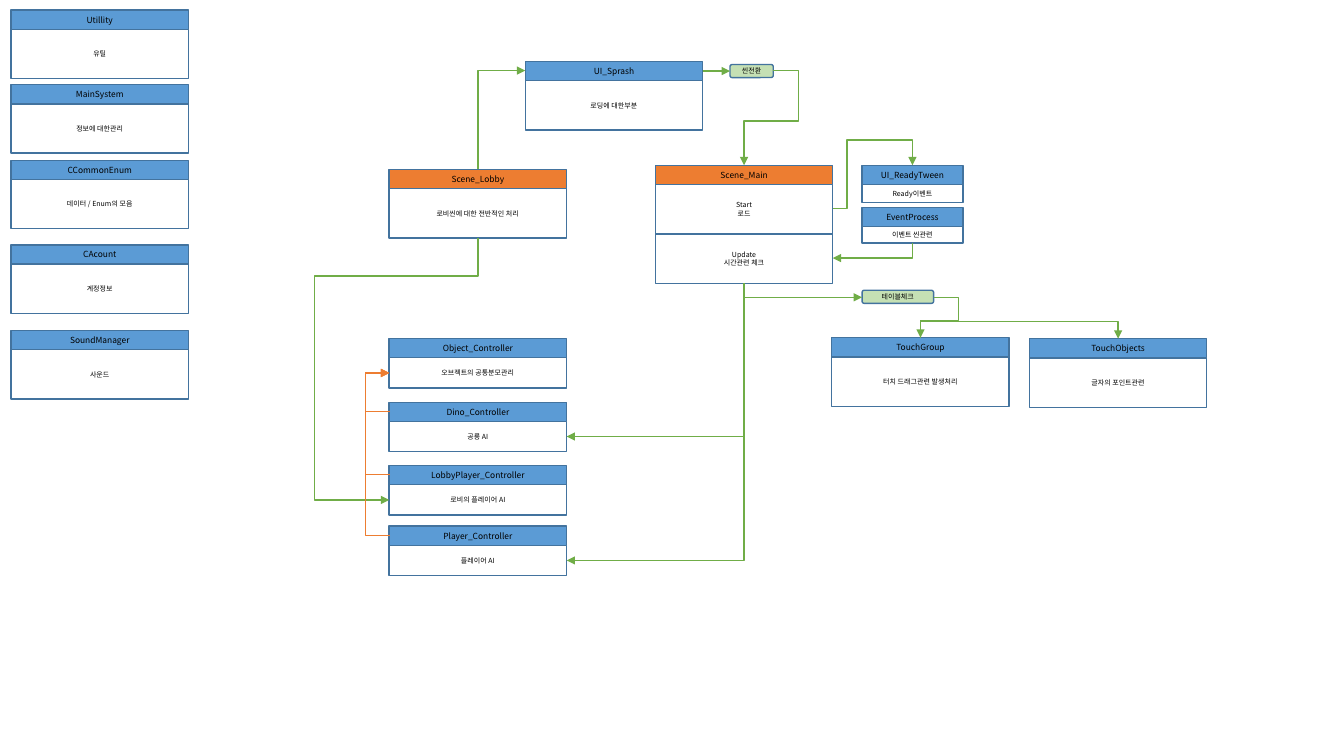
from dataclasses import dataclass

from lxml.etree import SubElement
from pptx import Presentation
from pptx.dml.color import RGBColor
from pptx.enum.shapes import MSO_CONNECTOR, MSO_SHAPE
from pptx.enum.text import MSO_ANCHOR, PP_ALIGN
from pptx.oxml.ns import qn
from pptx.util import Inches, Pt


@dataclass(frozen=True)
class Theme:
    font: str = "Noto Sans CJK KR"
    text: str = "000000"
    blue: str = "5B9BD5"
    orange: str = "ED7D31"
    white: str = "FFFFFF"
    pale_green: str = "C5E0B4"
    green: str = "70AD47"
    outline: str = "43739E"
    title_size: float = 6
    body_size: float = 5
    line_width: float = 1


THEME = Theme()
TITLE_HEIGHT = 0.19
CARD_WIDTH = 1.76
BODY_HEIGHT = 0.49
CONTROLLER_BODY = 0.3
UTILITY_LEFT, CONTROLLER_LEFT, MAIN_LEFT, EVENT_LEFT = 0.11, 3.86, 6.5, 8.55

UTILITY_CARDS = [
    ("Utillity", "유틸", 0.1),
    ("MainSystem", "정보에 대한관리", 0.84),
    ("CCommonEnum", "데이터 / Enum의 모음", 1.59),
    ("CAcount", "계정정보", 2.43),
    ("SoundManager", "사운드", 3.28),
]
CONTROLLER_CARDS = [
    ("Object_Controller", "오브젝트의 공통분모관리", 3.36),
    ("Dino_Controller", "공룡 AI", 3.99),
    ("LobbyPlayer_Controller", "로비의 플레이어 AI", 4.62),
    ("Player_Controller", "플레이어 AI", 5.22),
]
FLOW_ROUTES = [
    [(4.74, 2.36), (4.74, 2.74), (3.12, 2.74), (3.12, 4.96), (3.86, 4.96)],
    [(4.74, 1.68), (4.74, 0.7), (5.21, 0.7)],
    [(7.38, 2.81), (7.38, 4.33), (5.62, 4.33)],
    [(7.38, 2.81), (7.38, 5.56), (5.62, 5.56)],
    [(9.05, 2.41), (9.05, 2.56), (8.26, 2.56)],
    [(7.67, 0.7), (7.92, 0.7), (7.92, 1.2), (7.38, 1.2), (7.38, 1.64)],
    [(8.26, 2.07), (8.4, 2.07), (8.4, 1.39), (9.05, 1.39), (9.05, 1.64)],
    [(7.38, 2.81), (7.38, 2.95), (8.55, 2.95)],
    [(9.26, 2.95), (9.51, 2.95), (9.51, 3.18), (9.13, 3.18), (9.13, 3.35)],
    [(9.13, 3.35), (9.13, 3.19), (11.09, 3.19), (11.09, 3.36)],
]
INHERITANCE_STARTS = [5.31, 4.71, 4.08]


def color(value):
    return RGBColor.from_string(value)


def add_box(page, lines, left, top, width, height, fill, size, kind=MSO_SHAPE.RECTANGLE):
    box = page.shapes.add_shape(kind, Inches(left), Inches(top), Inches(width), Inches(height))
    box.shadow.inherit = False
    box.fill.solid()
    box.fill.fore_color.rgb = color(fill)
    box.line.color.rgb = color(THEME.outline)
    box.line.width = Pt(THEME.line_width)
    frame = box.text_frame
    frame.margin_left = frame.margin_right = frame.margin_top = frame.margin_bottom = 0
    frame.vertical_anchor = MSO_ANCHOR.MIDDLE
    frame.text = lines
    for para in frame.paragraphs:
        para.alignment = PP_ALIGN.CENTER
        para.font.size = Pt(size)
        para.font.name = THEME.font
        para.font.color.rgb = color(THEME.text)
    for defaults in box.element.iter(qn("a:defRPr")):
        SubElement(defaults, qn("a:ea"), typeface=THEME.font)
    return box


def add_card(page, title, bodies, left, top, width=CARD_WIDTH, body_height=BODY_HEIGHT, fill=THEME.blue):
    header = add_box(page, title, left, top, width, TITLE_HEIGHT, fill, THEME.title_size)
    for index, body in enumerate(bodies):
        body_top = top + TITLE_HEIGHT + index * body_height
        add_box(page, body, left, body_top, width, body_height, THEME.white, THEME.body_size)
    return header


def add_pill(page, label, left, top, width):
    return add_box(page, label, left, top, width, 0.13, THEME.pale_green,
                   THEME.body_size, MSO_SHAPE.ROUNDED_RECTANGLE)


def add_arrow(page, kind, start, end, stroke):
    arrow = page.shapes.add_connector(kind, *(Inches(value) for value in (*start, *end)))
    arrow.line.color.rgb = color(stroke)
    arrow.line.width = Pt(THEME.line_width)
    properties = arrow.element.spPr
    SubElement(properties.find(qn("a:ln")), qn("a:tailEnd"), type="triangle")
    SubElement(properties, qn("a:effectLst"))
    return arrow


def add_elbow(page, route, stroke):
    (x1, y1), (x2, y2) = route[0], route[-1]
    dx, dy = x2 - x1, y2 - y1
    vertical = route[1][0] == x1
    along, across = (abs(dy), abs(dx)) if vertical else (abs(dx), abs(dy))
    left, top = (x1 + x2 - along) / 2, (y1 + y2 - across) / 2
    arrow = add_arrow(page, MSO_CONNECTOR.ELBOW, (left, top), (left + along, top + across), stroke)

    if vertical and dx > 0 and dy > 0:
        rotation, flip_h, flip_v = 270, True, False
    elif vertical:
        rotation, flip_h, flip_v = 90, dy < 0, dx > 0
    elif dx < 0 and dy < 0:
        rotation, flip_h, flip_v = 180, False, False
    else:
        rotation, flip_h, flip_v = 0, dx < 0, dy < 0
    transform = arrow.element.spPr.find(qn("a:xfrm"))
    transform.set("rot", str(rotation * 60000))
    transform.set("flipH", str(int(flip_h)))
    transform.set("flipV", str(int(flip_v)))

    geometry = arrow.element.spPr.find(qn("a:prstGeom"))
    geometry.set("prst", f"bentConnector{len(route) - 1}")
    guides = geometry.find(qn("a:avLst"))
    for index, (x, y) in enumerate(route[1:-2]):
        moves_down = vertical == (index % 2 == 0)
        ratio = (y - y1) / dy if moves_down else (x - x1) / dx
        SubElement(guides, qn("a:gd"), name=f"adj{index + 1}", fmla=f"val {round(ratio * 100000)}")


def main():
    deck = Presentation()
    deck.slide_width, deck.slide_height = Inches(13.33), Inches(7.5)
    page = deck.slides.add_slide(deck.slide_layouts[6])

    for title, body, top in UTILITY_CARDS:
        add_card(page, title, [body], UTILITY_LEFT, top)
    for title, body, top in CONTROLLER_CARDS:
        add_card(page, title, [body], CONTROLLER_LEFT, top, body_height=CONTROLLER_BODY)
    add_card(page, "Scene_Lobby", ["로비씬에 대한 전반적인 처리"], CONTROLLER_LEFT, 1.68, fill=THEME.orange)
    add_card(page, "Scene_Main", ["Start\n로드", "Update\n시간관련 체크"], MAIN_LEFT, 1.64, fill=THEME.orange)
    splash = add_card(page, "UI_Sprash", ["로딩에 대한부분"], 5.21, 0.61)
    add_card(page, "UI_ReadyTween", ["Ready이벤트"], EVENT_LEFT, 1.64, 1, 0.18)
    add_card(page, "EventProcess", ["이벤트 씬관련"], EVENT_LEFT, 2.06, 1, 0.16)
    add_card(page, "TouchGroup", ["터치 드래그관련 발생처리"], 8.25, 3.35)
    add_card(page, "TouchObjects", ["글자의 포인트관련"], 10.21, 3.36)
    scene_change = add_pill(page, "씬전환", 7.24, 0.64, 0.43)
    add_pill(page, "테이블체크", EVENT_LEFT, 2.88, 0.71)

    for route in FLOW_ROUTES:
        add_elbow(page, route, THEME.green)
    for y in INHERITANCE_STARTS:
        add_elbow(page, [(3.87, y), (3.62, y), (3.62, 3.7), (3.86, 3.7)], THEME.orange)
    change = add_arrow(page, MSO_CONNECTOR.STRAIGHT, (6.97, 0.7), (7.24, 0.7), THEME.green)
    change.begin_connect(splash, 3)
    change.end_connect(scene_change, 1)

    deck.save("out.pptx")


if __name__ == "__main__":
    main()
